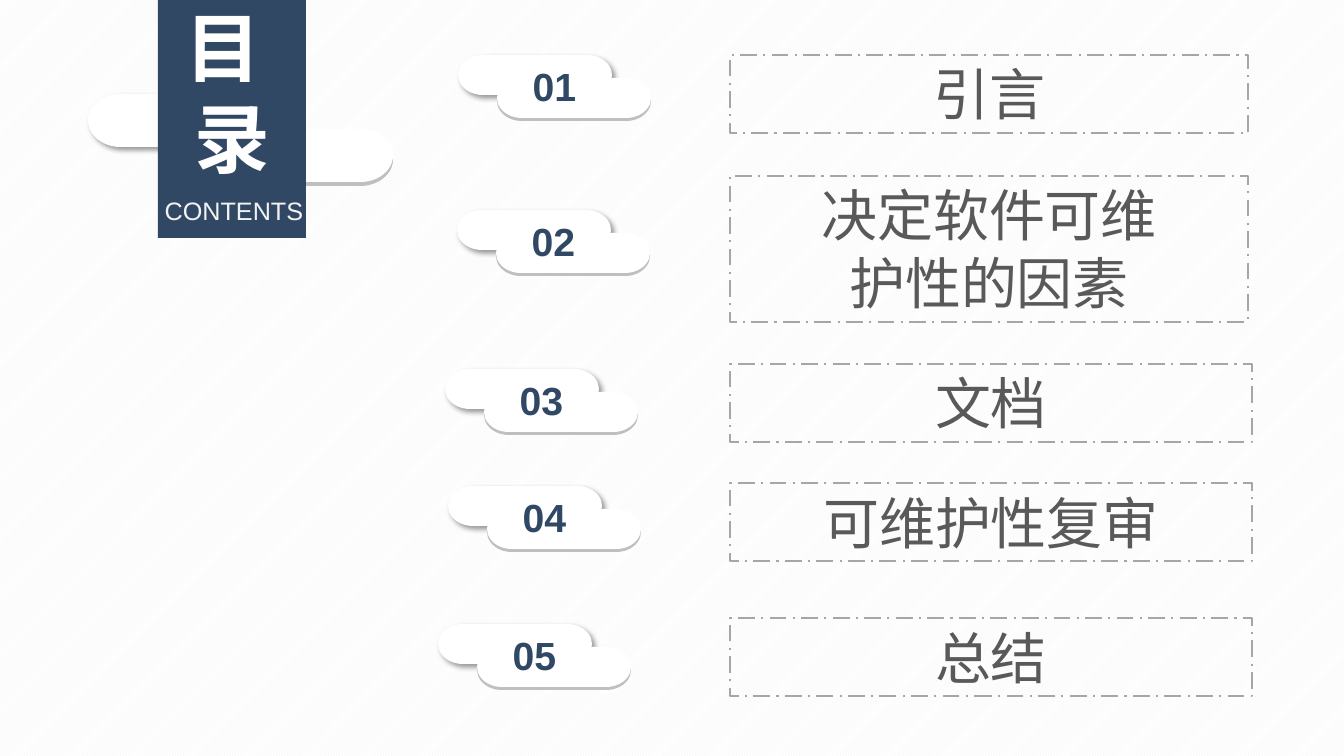
from lxml import etree
from pptx import Presentation
from pptx.dml.color import RGBColor
from pptx.enum.dml import MSO_LINE, MSO_PATTERN
from pptx.enum.lang import MSO_LANGUAGE_ID as Language
from pptx.enum.shapes import MSO_SHAPE as Shape
from pptx.enum.text import MSO_ANCHOR as Anchor, MSO_AUTO_SIZE as AutoSize, PP_ALIGN as Align
from pptx.oxml import parse_xml
from pptx.util import Emu, Pt

THEME = {
    "font": "Arial",
    "navy": RGBColor.from_string("314865"),
    "white": RGBColor.from_string("FFFFFF"),
    "pale": RGBColor.from_string("F2F2F2"),
    "edge": RGBColor.from_string("BFBFBF"),
    "border": RGBColor.from_string("A6A6A6"),
    "title": (54, "white", True),
    "subtitle": (18, "pale", False),
    "number": (28, "navy", True),
    "topic": (40, "ink", False),
    "ink": RGBColor.from_string("595959"),
}
SHADOW = (
    '<a:effectLst xmlns:a="http://schemas.openxmlformats.org/drawingml/2006/main">'
    '<a:outerShdw blurRad="50800" dist="38100" dir="2700000" algn="tl" rotWithShape="0">'
    '<a:srgbClr val="000000"><a:alpha val="40000"/></a:srgbClr>'
    '</a:outerShdw></a:effectLst>'
)
PX = 12192000 / 1344


def place(*lengths):
    return [Emu(round(length * PX)) for length in lengths]


def write(shape, lines, style, anchor=Anchor.TOP, margins=(10, 5)):
    size, color, bold = THEME[style]
    frame = shape.text_frame
    frame.word_wrap = True
    frame.auto_size = AutoSize.SHAPE_TO_FIT_TEXT
    frame.vertical_anchor = anchor
    frame.margin_left = frame.margin_right = place(margins[0])[0]
    frame.margin_top = frame.margin_bottom = place(margins[1])[0]
    for index, line in enumerate(lines):
        para = frame.add_paragraph() if index else frame.paragraphs[0]
        para.alignment = Align.CENTER
        span = para.add_run()
        span.text = line
        span.font.name = THEME["font"]
        span.font.size = Pt(size)
        span.font.bold = bold
        span.font.color.rgb = THEME[color]
        span.font.language_id = Language.SIMPLIFIED_CHINESE


deck = Presentation()
deck.slide_width, deck.slide_height = place(1344, 756)
page = deck.slides.add_slide(deck.slide_layouts[5])
backdrop = page.background.fill
backdrop.patterned()
backdrop.pattern = MSO_PATTERN.LIGHT_UPWARD_DIAGONAL
backdrop.fore_color.rgb = THEME["pale"]
backdrop.back_color.rgb = THEME["white"]

clouds = [
    (88, 94, 203, 53, 102, 39, 35, None),
    (458, 55, 154, 40, 39, 26, 23, "01"),
    (457, 210, 154, 40, 39, 26, 23, "02"),
    (445, 369, 154, 40, 39, 26, 23, "03"),
    (448, 486, 154, 40, 39, 26, 23, "04"),
    (438, 624, 154, 40, 39, 26, 23, "05"),
]
for left, top, width, height, shift, edge_drop, front_drop, number in clouds:
    cloud = page.shapes.add_group_shape()
    layers = [
        (shift, edge_drop, "edge", False),
        (0, 0, "white", True),
        (shift, front_drop, "white", False),
    ]
    for across, down, color, shaded in layers:
        puff = cloud.shapes.add_shape(
            Shape.FLOWCHART_TERMINATOR, *place(left + across, top + down, width, height))
        puff.shadow.inherit = False
        puff.fill.solid()
        puff.fill.fore_color.rgb = THEME[color]
        puff.line.fill.background()
        if shaded:
            properties = puff.element.spPr
            effects = properties.find("{*}effectLst")
            properties.replace(effects, parse_xml(SHADOW))
    if number:
        label = cloud.shapes.add_textbox(*place(left + 58, top + 2, 77, 57))
        write(label, [number], "number")

banner = page.shapes.add_shape(Shape.RECTANGLE, *place(158, 0, 148, 238))
banner.shadow.inherit = False
banner.fill.solid()
banner.fill.fore_color.rgb = THEME["navy"]
banner.line.fill.background()

title = page.shapes.title
title.left, title.top, title.width, title.height = place(158, 0, 148, 183)
write(title, ["目 ", "录"], "title", Anchor.MIDDLE, (0, 0))
banner.element.addnext(title.element)

subtitle = page.shapes.add_textbox(*place(160, 195, 148, 30))
write(subtitle, ["CONTENTS"], "subtitle", Anchor.MIDDLE, (0, 0))

topics = [
    (55, 518, 78, ["引言"]),
    (176, 518, 146, ["决定软件可维", "护性的因素"]),
    (364, 522, 78, ["文档"]),
    (483, 522, 78, ["可维护性复审"]),
    (618, 522, 78, ["总结"]),
]
for top, width, height, lines in topics:
    box = page.shapes.add_shape(Shape.RECTANGLE, *place(730, top, width, height))
    box.shadow.inherit = False
    box.fill.background()
    box.line.color.rgb = THEME["border"]
    box.line.width = Pt(1.5)
    box.line.dash_style = MSO_LINE.LONG_DASH_DOT
    write(box, lines, "topic")

deck.save("out.pptx")
